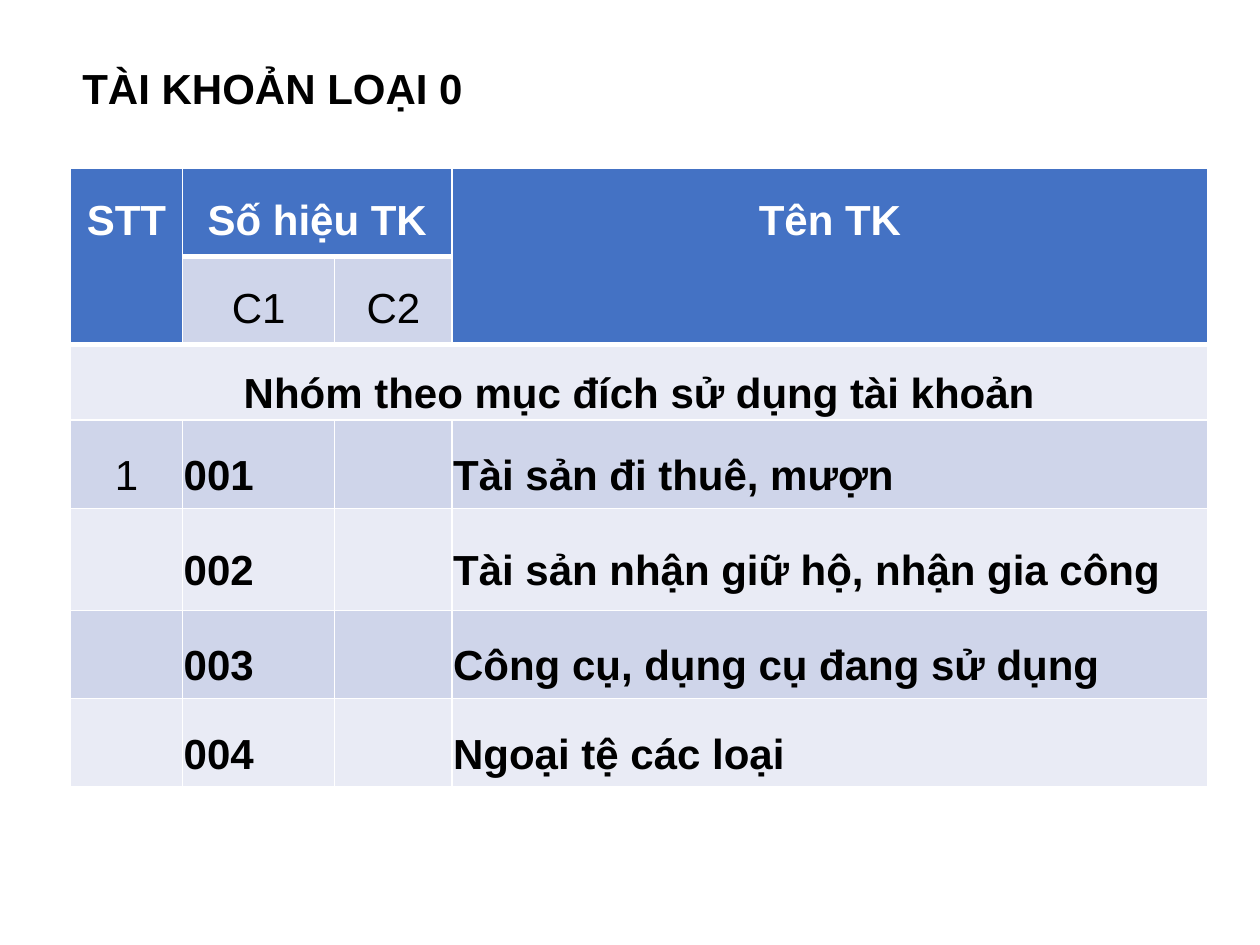
from pptx import Presentation
from pptx.dml.color import RGBColor
from pptx.enum.text import MSO_ANCHOR, MSO_AUTO_SIZE, PP_ALIGN as Align
from pptx.oxml.ns import qn
from pptx.util import Pt
from lxml.etree import SubElement

FONT = "Arial"
BLACK, WHITE, BLUE = "000000", "FFFFFF", "4472C4"
BANDS = ["E9EBF5", "CFD5EA"]
COLUMN_WIDTHS = [64, 87, 67, 432]
ROW_HEIGHTS = [47.5, 47.5, 39.6, 47.5, 58.3, 47.5, 47.5]
HEADER_ROWS = 2
FIRST_ACCOUNT_ROW = 3
ACCOUNTS = [
    ("001", "Tài sản đi thuê, mượn"),
    ("002", "Tài sản nhận giữ hộ, nhận gia công"),
    ("003", "Công cụ, dụng cụ đang sử dụng"),
    ("004", "Ngoại tệ các loại"),
]


def rgb(value):
    return RGBColor.from_string(value)


def write(para, text, color=BLACK, bold=True):
    para.text = text
    font = para.runs[0].font
    font.name, font.size, font.bold = FONT, Pt(24), bold
    font.color.rgb = rgb(color)


def add_title(page, text):
    box = page.shapes.add_textbox(Pt(40), Pt(32.4), Pt(232), Pt(36))
    frame = box.text_frame
    frame.word_wrap = False
    frame.auto_size = MSO_AUTO_SIZE.SHAPE_TO_FIT_TEXT
    write(frame.paragraphs[0], text)


def set_fill(cell, color):
    cell.fill.solid()
    cell.fill.fore_color.rgb = rgb(color)


def set_borders(cell, top, bottom):
    """Draw white borders, placed ahead of the fill as the schema asks."""
    properties = cell._tc.get_or_add_tcPr()
    widths = {"a:lnL": 1, "a:lnR": 1, "a:lnT": top, "a:lnB": bottom}
    for position, (tag, width) in enumerate(widths.items()):
        line = SubElement(properties, qn(tag), w=str(Pt(width)))
        fill = SubElement(line, qn("a:solidFill"))
        SubElement(fill, qn("a:srgbClr"), val=WHITE)
        properties.insert(position, line)


def fill_cell(cell, text, align=Align.CENTER, color=BLACK, bold=True):
    para = cell.text_frame.paragraphs[0]
    para.alignment = align
    para.line_spacing = 1.5
    write(para, text, color, bold)


def tighten(cell, vertical):
    cell.vertical_anchor = MSO_ANCHOR.MIDDLE
    cell.margin_left = cell.margin_right = Pt(0.7)
    cell.margin_top = cell.margin_bottom = Pt(vertical)


def add_grid(page):
    """Add the empty table with its sizes, bands and borders."""
    frame = page.shapes.add_table(
        len(ROW_HEIGHTS), len(COLUMN_WIDTHS), Pt(40.3), Pt(96),
        Pt(sum(COLUMN_WIDTHS)), Pt(sum(ROW_HEIGHTS)))
    table = frame.table
    for column, width in zip(table.columns, COLUMN_WIDTHS):
        column.width = Pt(width)
    for index, (row, height) in enumerate(zip(table.rows, ROW_HEIGHTS)):
        row.height = Pt(height)
        for cell in row.cells:
            set_fill(cell, BANDS[index % 2])
            set_borders(cell, top=3 if 1 <= index <= HEADER_ROWS else 1,
                        bottom=3 if index < HEADER_ROWS else 1)
    return table


def fill_header(table):
    headings = [("STT", 0, (1, 0)), ("Số hiệu TK", 1, (0, 2)),
                ("Tên TK", 3, (1, 3))]
    for text, column, end in headings:
        cell = table.cell(0, column)
        cell.merge(table.cell(*end))
        set_fill(cell, BLUE)
        fill_cell(cell, text, color=WHITE)
    for column, text in enumerate(["C1", "C2"], start=1):
        fill_cell(table.cell(1, column), text, bold=False)


def fill_accounts(table):
    group = table.cell(2, 0)
    group.merge(table.cell(2, 3))
    fill_cell(group, "Nhóm theo mục đích sử dụng tài khoản")
    number = table.cell(FIRST_ACCOUNT_ROW, 0)
    fill_cell(number, "1", bold=False)
    for cell in (group, number):
        tighten(cell, 0)
    for row, (code, name) in enumerate(ACCOUNTS, start=FIRST_ACCOUNT_ROW):
        code_cell, name_cell = table.cell(row, 1), table.cell(row, 3)
        fill_cell(code_cell, code, Align.LEFT)
        code_cell.text_frame.paragraphs[0].space_after = Pt(5)
        fill_cell(name_cell, name, Align.JUSTIFY)
        for cell in (code_cell, name_cell):
            tighten(cell, 3.6)


def main():
    deck = Presentation()
    deck.slide_width, deck.slide_height = Pt(720), Pt(540)
    page = deck.slides.add_slide(deck.slide_layouts[6])
    add_title(page, "TÀI KHOẢN LOẠI 0")
    table = add_grid(page)
    fill_header(table)
    fill_accounts(table)
    deck.save("out.pptx")


if __name__ == "__main__":
    main()
